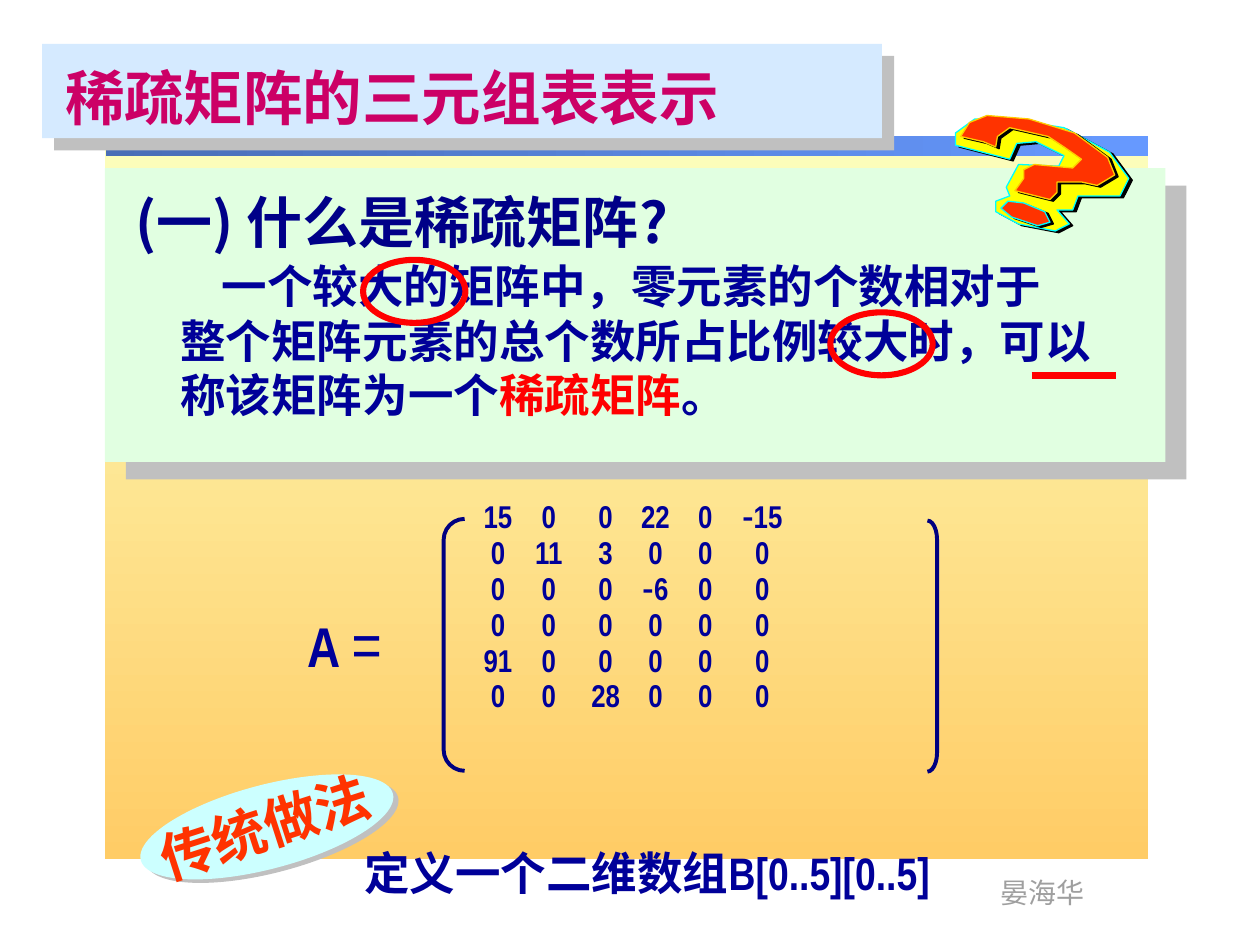
from dataclasses import dataclass

from lxml import etree
from pptx import Presentation
from pptx.dml.color import RGBColor
from pptx.enum.shapes import MSO_CONNECTOR, MSO_SHAPE
from pptx.enum.text import MSO_ANCHOR, MSO_AUTO_SIZE, PP_ALIGN
from pptx.oxml.ns import qn
from pptx.util import Pt

RECT, OVAL = MSO_SHAPE.RECTANGLE, MSO_SHAPE.OVAL
LEFT_BRACKET, RIGHT_BRACKET = MSO_SHAPE.LEFT_BRACKET, MSO_SHAPE.RIGHT_BRACKET
STRAIGHT = MSO_CONNECTOR.STRAIGHT
TOP, LEFT = MSO_ANCHOR.TOP, PP_ALIGN.LEFT
NO_FIT = MSO_AUTO_SIZE.NONE


@dataclass(frozen=True)
class Theme:
    latin: str = "Arial Narrow"
    chinese: str = "Noto Sans CJK SC"
    ink: str = "000099"
    heading_ink: str = "000088"
    title_ink: str = "CC0066"
    author_ink: str = "9F9F9F"
    bracket: str = "000080"
    red: str = "FF0000"
    orange: str = "FF3300"
    gold: str = "FFCC00"
    yellow: str = "FFFF00"
    cyan: str = "00FFFF"
    black: str = "000000"
    shade: str = "C0C0C0"
    panel: str = "E1FFE1"
    title_band: str = "D5EAFF"
    badge: str = "CCFFFF"
    backdrop: tuple = ("FCFEBC", "FFCC66")
    bar: tuple = ("496DB6", "6699FF")
    equals_size: int = 36
    title_size: int = 34
    heading_size: int = 32
    badge_size: int = 31
    body_size: int = 26
    matrix_size: int = 18
    author_size: int = 16


def rgb(code):
    return RGBColor.from_string(code)


def add_shadow(effects, color, distance, angle):
    outer = etree.SubElement(effects, qn("a:outerShdw"), dist=str(Pt(distance)),
                             dir=str(angle * 60000), algn="ctr", rotWithShape="0")
    etree.SubElement(outer, qn("a:srgbClr"), val=color)


def write_run(paragraph, text, *, size, color, font, east_asian, bold=True, shadow=None):
    run = paragraph.add_run()
    run.text = text
    run.font.size, run.font.bold, run.font.name = Pt(size), bold, font
    run.font.color.rgb = rgb(color)
    properties = run.font._element
    etree.SubElement(properties, qn("a:ea"), typeface=east_asian)
    if shadow:
        effects = etree.Element(qn("a:effectLst"))
        properties.find(qn("a:solidFill")).addnext(effects)
        add_shadow(effects, *shadow)


class SlideBuilder:
    def __init__(self, slide, theme):
        self.slide, self.shapes, self.theme = slide, slide.shapes, theme

    def _paint(self, shape, fill, line, weight, shadow):
        shape.shadow.inherit = False
        if isinstance(fill, tuple):
            shape.fill.gradient()
            for stop, color in zip(shape.fill.gradient_stops, fill):
                stop.color.rgb = rgb(color)
                stop.position = float(color == fill[-1])
        elif fill:
            shape.fill.solid()
            shape.fill.fore_color.rgb = rgb(fill)
        else:
            shape.fill.background()
        if line:
            shape.line.color.rgb = rgb(line)
            shape.line.width = Pt(weight)
        else:
            shape.line.fill.background()
        if shadow:
            add_shadow(shape._element.spPr.find(qn("a:effectLst")), *shadow)

    def shape(self, preset, box, fill=None, line=None, weight=1, shadow=None,
              angle=None, adjust=None, rotation=0):
        shape = self.shapes.add_shape(preset, *map(Pt, box))
        self._paint(shape, fill, line, weight, shadow)
        shape.rotation = rotation
        if angle is not None:
            shape.fill.gradient_angle = angle
        if adjust is not None:
            shape.adjustments[0] = adjust

    def outline(self, points, fill, line):
        builder = self.shapes.build_freeform(*points[0], scale=Pt(1))
        builder.add_line_segments(points[1:], close=True)
        self._paint(builder.convert_to_shape(), fill, line, 0.75,
                    (self.theme.black, 2.2, 27))

    def line(self, start, end, color, weight):
        line = self.shapes.add_connector(STRAIGHT, *map(Pt, start + end))
        line.line.color.rgb = rgb(color)
        line.line.width = Pt(weight)
        etree.SubElement(line._element.spPr, qn("a:effectLst"))

    def _fill_frame(self, frame, paragraphs, wrap=True, indent=0, tabs=(),
                    spacing=None, **style):
        """Write paragraphs given as lists of (text, style overrides)."""
        frame.word_wrap, frame.auto_size, frame.vertical_anchor = wrap, NO_FIT, TOP
        defaults = dict(size=self.theme.body_size, color=self.theme.ink,
                        font=self.theme.latin, east_asian=self.theme.chinese)
        for index, runs in enumerate(paragraphs):
            paragraph = frame.add_paragraph() if index else frame.paragraphs[0]
            paragraph.alignment = LEFT
            if spacing:
                paragraph.line_spacing = spacing
            properties = paragraph._p.get_or_add_pPr()
            if indent and index == 0:
                properties.set("indent", str(Pt(indent)))
            if tabs:
                stops = etree.SubElement(properties, qn("a:tabLst"))
                for position in tabs:
                    etree.SubElement(stops, qn("a:tab"), pos=str(Pt(position)), algn="ctr")
            for text, override in runs:
                write_run(paragraph, text, **{**defaults, **style, **override})

    def text(self, box, paragraphs, rotation=0, **style):
        holder = self.shapes.add_textbox(*map(Pt, box))
        holder.rotation = rotation
        self._fill_frame(holder.text_frame, paragraphs, **style)

    def title(self, box, text, **style):
        """Format the title placeholder and bring it in front of its band."""
        title = self.shapes.title
        title.left, title.top, title.width, title.height = map(Pt, box)
        self._fill_frame(title.text_frame, [[(text, {})]], **style)
        self.shapes._spTree.append(title._element)


MATRIX = [
    [15, 0, 0, 22, 0, -15],
    [0, 11, 3, 0, 0, 0],
    [0, 0, 0, -6, 0, 0],
    [0, 0, 0, 0, 0, 0],
    [91, 0, 0, 0, 0, 0],
    [0, 0, 28, 0, 0, 0],
]
COLUMN_CENTERS = (12, 41, 73.5, 102, 130.5, 163)
MARK_BASE = [
    (581, 82), (592, 81), (608, 89), (605, 95), (582, 94), (575, 107), (577, 112),
    (569, 115), (569, 121), (582, 128), (603, 132), (611, 128), (604, 120), (613, 120),
    (616, 112), (640, 112), (645, 102), (634, 87), (608, 73), (577, 68), (557, 68),
    (546, 76), (546, 83), (577, 91)]
MARK_HOOK = [
    (549, 78), (562, 81), (569, 84), (570, 78), (577, 73), (599, 78), (608, 84),
    (618, 91), (613, 96), (591, 94), (585, 97), (585, 102), (580, 109), (600, 114),
    (604, 110), (604, 104), (618, 104), (627, 106), (637, 100), (633, 90), (614, 76),
    (588, 68), (564, 66), (554, 70)]
MARK_DOT = [(585, 116), (576, 115), (572, 119), (578, 124), (593, 129), (600, 127),
            (597, 121)]


def matrix_row(values, theme):
    """Put each value after a tab, with minus signs in the Chinese font."""
    runs = []
    for value in values:
        if value < 0:
            runs += [("\t", {}), ("-", {"font": theme.chinese}), (str(-value), {})]
        else:
            runs.append((f"\t{value}", {}))
    return runs


def main():
    theme = Theme()
    deck = Presentation()
    deck.slide_width, deck.slide_height = Pt(720), Pt(540)
    page = SlideBuilder(deck.slides.add_slide(deck.slide_layouts[5]), theme)

    page.shape(RECT, (60, 79, 596, 412), theme.backdrop, angle=270)
    page.shape(RECT, (60.5, 78, 595.5, 11), theme.bar, angle=0)
    page.text((564.5, 497, 62.5, 26.5), [[("晏海华", {})]], wrap=False,
              size=theme.author_size, color=theme.author_ink, bold=False)

    page.shape(RECT, (60, 96, 606, 168), theme.panel, shadow=(theme.shade, 15.6, 40))
    page.text((70.5, 103.5, 368.5, 46), [[("(一) 什么是稀疏矩阵?", {})]],
              size=theme.heading_size, color=theme.heading_ink, font=theme.chinese)
    page.text((96, 144, 600, 101.5), [
        [("一个较大的矩阵中，零元素的个数相对于", {})],
        [("整个矩阵元素的总个数所占比例较大时，可以", {})],
        [("称该矩阵为一个", {}), ("稀疏矩阵", {"color": theme.red}), ("。", {})],
    ], font=theme.chinese, indent=23.5)
    for left, top in ((207.5, 148.5), (474.5, 178.5)):
        page.shape(OVAL, (left, top, 58.5, 36), line=theme.red, weight=3.5)
    page.line((589.5, 214.5), (638, 214.5), theme.red, 4)

    page.text((152, 342, 99.5, 51), [[
        ("A ", {"size": theme.heading_size}),
        ("=", {"size": theme.equals_size, "bold": False})]], indent=16.5)
    page.text((265.5, 282, 270, 132), [matrix_row(row, theme) for row in MATRIX],
              size=theme.matrix_size, tabs=COLUMN_CENTERS, spacing=0.95)
    page.shape(LEFT_BRACKET, (253.5, 296.5, 12, 144), line=theme.bracket,
               weight=2.25, adjust=1)
    page.shape(RIGHT_BRACKET, (530, 297.5, 5.5, 143.5), line=theme.bracket,
               weight=2.25, adjust=1.99)

    page.outline(MARK_BASE, theme.yellow, theme.cyan)
    page.outline(MARK_HOOK, theme.orange, theme.gold)
    page.outline(MARK_DOT, theme.orange, theme.cyan)

    page.shape(RECT, (24, 25, 480, 54), theme.title_band, shadow=(theme.shade, 9.9, 45))
    page.title((30, 31, 471.5, 48), "稀疏矩阵的三元组表表示",
               size=theme.title_size, color=theme.title_ink)

    page.text((201, 479.5, 420, 39), [[
        ("定义一个二维数组", {"font": theme.chinese}), ("B[0..5][0..5]", {})]])
    page.shape(OVAL, (78, 448.5, 149, 48), theme.badge, rotation=345.2,
               shadow=(theme.shade, 3.6, 34))
    page.text((81.5, 445.5, 167, 44.5), [[("传统做法", {})]], rotation=342.1,
              size=theme.badge_size, color=theme.orange, shadow=(theme.black, 2, 45))

    deck.save("out.pptx")


if __name__ == "__main__":
    main()
